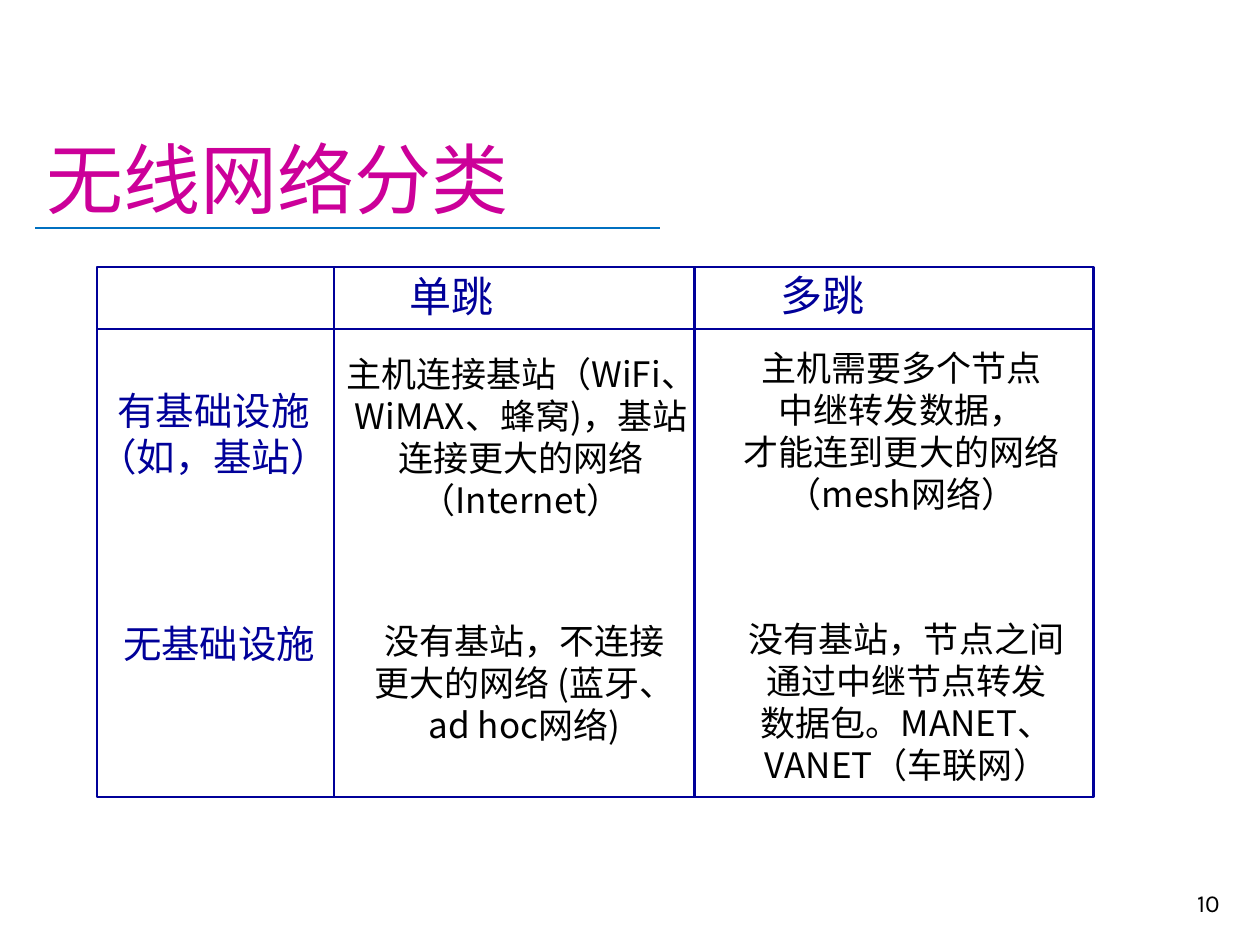
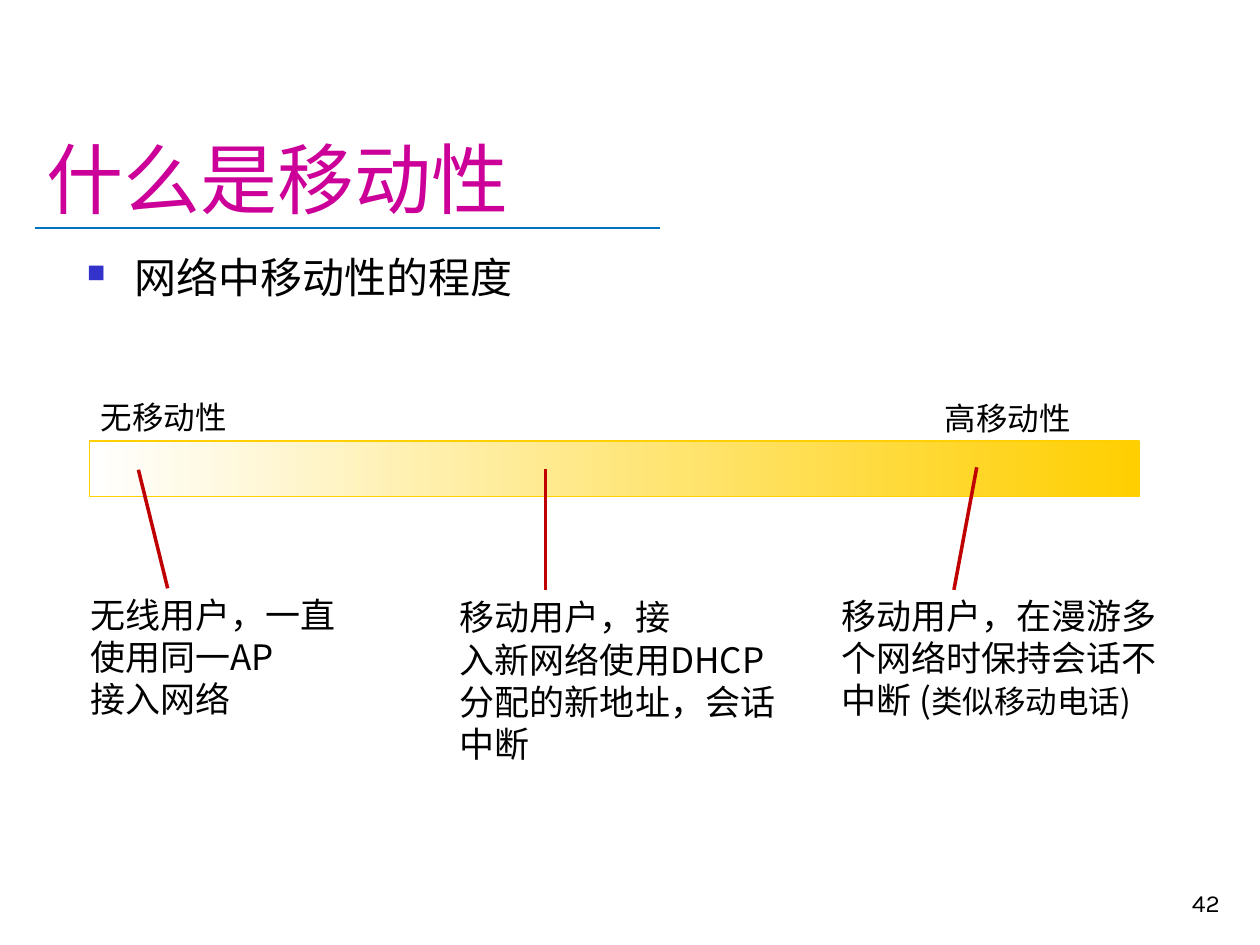
from dataclasses import dataclass

from lxml import etree
from pptx import Presentation
from pptx.dml.color import RGBColor
from pptx.enum import shapes, text
from pptx.oxml import parse_xml
from pptx.oxml.ns import nsdecls, qn
from pptx.util import Cm, Pt


@dataclass(frozen=True)
class Theme:
    magenta: RGBColor = RGBColor(0xCC, 0x00, 0x99)
    rule: RGBColor = RGBColor(0x00, 0x70, 0xC0)
    navy: RGBColor = RGBColor(0x00, 0x00, 0x99)
    black: RGBColor = RGBColor(0x00, 0x00, 0x00)
    white: RGBColor = RGBColor(0xFF, 0xFF, 0xFF)
    gold: RGBColor = RGBColor(0xFF, 0xCF, 0x01)
    red: RGBColor = RGBColor(0xC0, 0x00, 0x00)
    bullet: str = "3333CC"
    head_font: str = "Karla"
    bullet_font: str = "Cabin"
    label_font: str = "Arial"
    body_font: str = "Noto Sans CJK SC"
    title: int = 44
    heading: int = 24
    row: int = 22
    body: int = 20
    label: int = 18
    number: int = 14
    leading: float = 1.2


T = Theme()
LEFT, CENTER, RIGHT = text.PP_ALIGN.LEFT, text.PP_ALIGN.CENTER, text.PP_ALIGN.RIGHT


def add_text(s, box, paras, size, color=T.black, font=T.body_font, align=LEFT, wrap=False):
    """Add a text box with one paragraph per item and return its text frame."""
    tf = s.shapes.add_textbox(*map(Cm, box)).text_frame
    tf.word_wrap = wrap
    for i, words in enumerate(paras):
        p = tf.add_paragraph() if i else tf.paragraphs[0]
        p.text = words
        p.alignment = align
        p.line_spacing = Pt(round(size * T.leading, 1))
        p.font.name, p.font.size, p.font.color.rgb = font, Pt(size), color
    return tf


def add_line(s, x1, y1, x2, y2, color, width):
    """Add a straight line without a shadow."""
    ln = s.shapes.add_connector(shapes.MSO_CONNECTOR.STRAIGHT, Cm(x1), Cm(y1), Cm(x2), Cm(y2))
    ln.line.color.rgb, ln.line.width = color, Pt(width)
    etree.SubElement(ln.element.spPr, qn("a:effectLst"))


prs = Presentation()
prs.slide_width, prs.slide_height = Cm(25.4), Cm(19.05)

# Shared: rule, title and page number
slides = []
for title, number in (("无线网络分类", "10"), ("什么是移动性", "42")):
    s = prs.slides.add_slide(prs.slide_layouts[5])
    add_line(s, 0.71, 4.6, 13.31, 4.6, T.rule, 1.25)
    sp = s.shapes.title
    sp.left, sp.top, sp.width, sp.height = Cm(0.69), Cm(0.58), Cm(24.16), Cm(4.06)
    tf = sp.text_frame
    tf.text = title
    tf.vertical_anchor = text.MSO_ANCHOR.BOTTOM
    p = tf.paragraphs[0]
    p.alignment = LEFT
    p.font.name, p.font.size, p.font.color.rgb = T.head_font, Pt(T.title), T.magenta
    tf = add_text(s, (19.56, 17.35, 5.28, 1.27), [number], T.number,
                  font=T.head_font, align=RIGHT, wrap=True)
    tf.vertical_anchor = text.MSO_ANCHOR.BOTTOM
    slides.append(s)
grid_slide, mobility_slide = slides

# Classification: column and row headings
s = grid_slide
for box, words in (((8, 5.33, 2.24, 1.27), "单跳"), ((15.49, 5.31, 2.24, 1.27), "多跳")):
    add_text(s, box, [words], T.heading, T.navy)
for box, paras in (
    ((1.7, 7.67, 5.21, 2.13), ["有基础设施", "（如，基站）"]),
    ((2.21, 12.37, 4.42, 1.19), ["无基础设施"]),
):
    add_text(s, box, paras, T.row, T.navy, align=CENTER)

# Classification: cell texts
for box, paras, wrap in (
    ((6.68, 6.99, 7.65, 3.68),
     ["主机连接基站（WiFi、", "WiMAX、蜂窝)，基站\n连接更大的网络\n（Internet）"], True),
    ((7.11, 12.37, 6.93, 2.82),
     ["没有基站，不连接\n更大的网络 (蓝牙、\nad hoc网络)"], False),
    ((14.71, 6.86, 6.93, 3.68),
     ["主机需要多个节点\n中继转发数据，\n才能连到更大的网络\n（mesh网络）"], False),
    ((14.81, 12.32, 6.93, 3.68),
     ["没有基站，节点之间\n通过中继节点转发\n数据包。MANET、\nVANET（车联网）"], False),
):
    add_text(s, box, paras, T.body, align=CENTER, wrap=wrap)

# Classification: frame and dividers
left, top, width, height = 1.96, 5.38, 20.09, 10.69
frame = s.shapes.add_shape(shapes.MSO_SHAPE.RECTANGLE, Cm(left), Cm(top), Cm(width), Cm(height))
frame.shadow.inherit = False
frame.fill.background()
frame.line.color.rgb, frame.line.width = T.navy, Pt(1.5)
add_line(s, left, 6.63, left + width, 6.63, T.navy, 1.5)
for x in (6.73, 14):
    add_line(s, x, top, x, top + height, T.navy, 1.5)

# Mobility: bullet
s = mobility_slide
tf = add_text(s, (1.5, 4.95, 22.78, 1.6), ["网络中移动性的程度"], T.heading,
              font=T.bullet_font, wrap=True)
pPr = tf.paragraphs[0]._p.get_or_add_pPr()
pPr.set("marL", str(Cm(0.97)))
pPr.set("indent", str(-Cm(0.97)))
defaults = pPr.find(qn("a:defRPr"))
for tag in (
    f'<a:buClr {nsdecls("a")}><a:srgbClr val="{T.bullet}"/></a:buClr>',
    f'<a:buSzPct {nsdecls("a")} val="60000"/>',
    f'<a:buChar {nsdecls("a")} char="■"/>',
):
    defaults.addprevious(parse_xml(tag))

# Mobility: gradient scale with its end labels
bar = s.shapes.add_shape(shapes.MSO_SHAPE.RECTANGLE, Cm(1.8), Cm(8.89), Cm(21.16), Cm(1.12))
bar.shadow.inherit = False
bar.fill.gradient()
bar.fill.gradient_angle = 0
for stop, position, color in zip(bar.fill.gradient_stops, (0, 1), (T.white, T.gold)):
    stop.position, stop.color.rgb = position, color
bar.line.color.rgb, bar.line.width = T.gold, Pt(0.75)
for x, y, words in ((1.78, 7.9, "无移动性"), (18.8, 7.92, "高移动性")):
    add_text(s, (x, y, 3.07, 1.02), [words], T.label, font=T.label_font)

# Mobility: user descriptions and their pointers
add_text(s, (1.57, 11.84, 5.51, 2.82), ["无线用户，一直\n使用同一AP\n接入网络"], T.body)
add_text(s, (9.02, 11.89, 6.93, 3.68),
         ["移动用户，接\n入新网络使用DHCP分配的新地址，会话中断"], T.body, wrap=True)
tf = add_text(s, (16.71, 11.86, 7.47, 2.82),
              ["移动用户，在漫游多个网络时保持会话不中断 ("], T.body, wrap=True)
r = tf.paragraphs[0].add_run()
r.text = "类似移动电话)"
r.font.size = Pt(T.label)
for x1, y1, x2, y2 in (
    (3.38, 11.86, 2.79, 9.47),
    (11, 11.89, 11, 9.45),
    (19.23, 11.89, 19.69, 9.42),
):
    add_line(s, x1, y1, x2, y2, T.red, 2)

prs.save("out.pptx")
